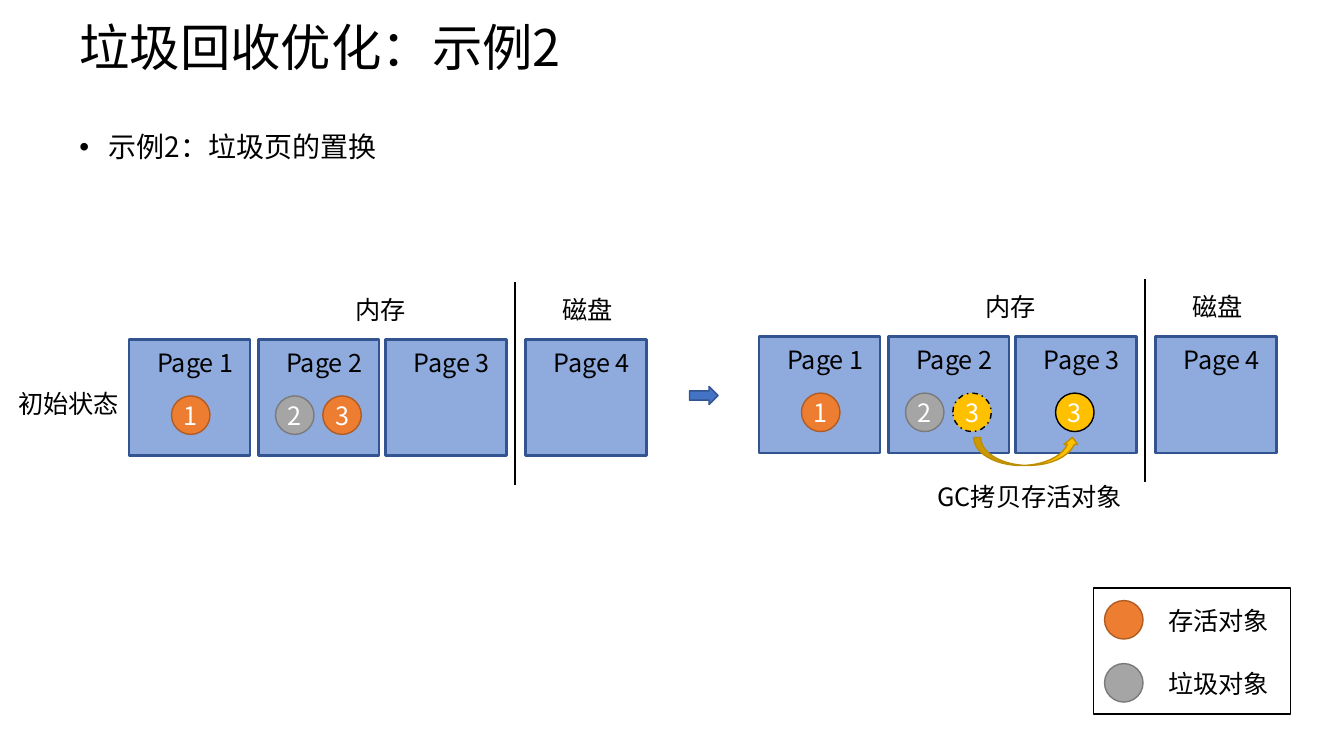
import pptx
import pptx.dml.color
import pptx.enum.dml
import pptx.enum.shapes
import pptx.enum.text
import pptx.oxml
import pptx.oxml.ns
import pptx.util

Pt = pptx.util.Pt
SHAPE = pptx.enum.shapes.MSO_SHAPE
ANCHOR = pptx.enum.text.MSO_ANCHOR
ALIGN = pptx.enum.text.PP_ALIGN
rgb = pptx.dml.color.RGBColor.from_string
qn = pptx.oxml.ns.qn

FONT = "Noto Sans CJK SC"
BLACK, WHITE = "000000", "FFFFFF"
PAGE = ("8FAADC", "325491")
LIVE = ("ED7D31", "AF5C24")
GARBAGE = ("A5A5A5", "7A7A7A")
MOVED = ("FFC000", BLACK)
DOT = 27.5


def draw(shapes, kind, box, colours, width=1):
    s = shapes.add_shape(kind, *map(Pt, box))
    s.shadow.inherit = False
    fill, line = colours
    if fill:
        s.fill.solid()
        s.fill.fore_color.rgb = rgb(fill)
    else:
        s.fill.background()
    s.line.color.rgb = rgb(line)
    s.line.width = Pt(width)
    return s


def write(s, text, size=18, colour=BLACK, wrap=True):
    tf = s.text_frame
    tf.text = text
    tf.word_wrap = wrap
    r = tf.paragraphs[0].runs[0]
    r.font.name = FONT
    r.font.size = Pt(size)
    r.font.color.rgb = rgb(colour)
    ea = pptx.oxml.parse_xml(
        '<a:ea xmlns:a="http://schemas.openxmlformats.org/drawingml/2006/main" '
        f'typeface="{FONT}"/>')
    r.font._element.find(qn("a:latin")).addnext(ea)
    return tf


prs = pptx.Presentation()
prs.slide_width, prs.slide_height = Pt(960), Pt(540)
slide = prs.slides.add_slide(prs.slide_layouts[1])

title, body = slide.placeholders
for s, box, text, size, anchor in [
    (title, (49.5, 6.5, 828, 58.5), "垃圾回收优化：示例2", 36, ANCHOR.MIDDLE),
    (body, (49.5, 91.5, 888.5, 398), "示例2：垃圾页的置换", 20, ANCHOR.TOP),
]:
    s.left, s.top, s.width, s.height = map(Pt, box)
    tf = write(s, text, size)
    tf.auto_size = pptx.enum.text.MSO_AUTO_SIZE.NONE
    tf.vertical_anchor = anchor
    p = tf.paragraphs[0]
    p.alignment = ALIGN.LEFT
    p.line_spacing = 0.9
    p.space_before = Pt(0)
pPr = p._p.get_or_add_pPr()
pPr.set("marL", str(Pt(21)))
pPr.set("indent", str(-Pt(21)))

legend = [("存活对象", LIVE, 429), ("垃圾对象", GARBAGE, 474)]
for text, colours, y in legend:
    draw(slide.shapes, SHAPE.OVAL, (789, y, DOT, DOT), colours)
    write(slide.shapes.add_textbox(*map(Pt, (827.5, y, 103, 29))), text)

page_lefts = [92.2, 184.4, 275.2, 375.2]
states = [
    (0, 0, [("1", 122.5, LIVE), ("2", 196.8, GARBAGE), ("3", 230.6, LIVE)]),
    (450, -2, [("1", 122.5, LIVE), ("2", 196.8, GARBAGE), ("3", 230.6, MOVED),
               ("3", 304, MOVED)]),
]
groups = []
for dx, dy, objects in states:
    shapes = slide.shapes.add_group_shape().shapes
    groups.append(shapes)
    for number, x in enumerate(page_lefts, 1):
        draw(shapes, SHAPE.RECTANGLE, (x + dx, 242.6 + dy, 86.4, 83), PAGE, 2)
        label = shapes.add_textbox(*map(Pt, (x + dx + 13, 244.5 + dy, 69, 29)))
        write(label, f"Page {number}", wrap=False)
    for text, x in [("内存", 247), ("磁盘", 394.5)]:
        label = shapes.add_textbox(*map(Pt, (x + dx, 206.5 + dy, 50.5, 29)))
        write(label, text, wrap=False)
    divider = shapes.add_connector(
        pptx.enum.shapes.MSO_CONNECTOR.STRAIGHT,
        *map(Pt, (368 + dx, 201.5 + dy, 368 + dx, 346.5 + dy)))
    divider.line.color.rgb = rgb(BLACK)
    divider.line.width = Pt(1.5)
    divider._element.spPr.append(pptx.oxml.xmlchemy.OxmlElement("a:effectLst"))
    dots = []
    for text, x, colours in objects:
        dot = draw(shapes, SHAPE.OVAL, (x + dx, 282.8 + dy, DOT, DOT), colours)
        tf = write(dot, text, colour=WHITE)
        tf.margin_left = tf.margin_top = tf.margin_right = tf.margin_bottom = 0
        tf.vertical_anchor = ANCHOR.MIDDLE
        tf.paragraphs[0].alignment = ALIGN.CENTER
        dots.append(dot)
dots[2].line.dash_style = pptx.enum.dml.MSO_LINE.DASH_DOT

before, after = groups
write(before.add_textbox(*map(Pt, (5.8, 273.6, 103, 29))), "初始状态")
draw(after, SHAPE.CURVED_UP_ARROW, (695.5, 312.5, 75.5, 20), ("FFC000", "BD8E00"))
write(after.add_textbox(*map(Pt, (662.5, 340, 148, 29))), "GC拷贝存活对象")

draw(slide.shapes, SHAPE.RIGHT_ARROW, (492.5, 276, 20.5, 13), ("4472C4", "325491"))
draw(slide.shapes, SHAPE.RECTANGLE, (781, 420, 141, 90), (None, BLACK))

prs.save("out.pptx")
